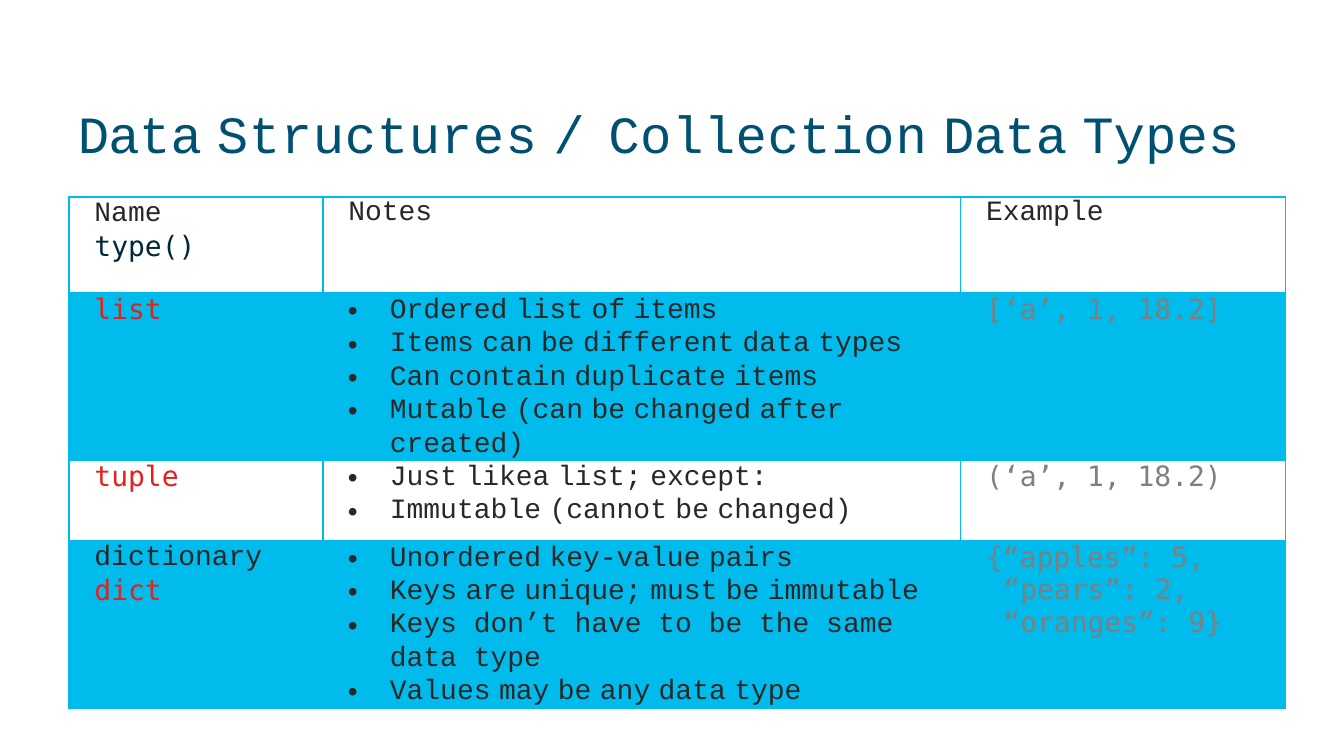
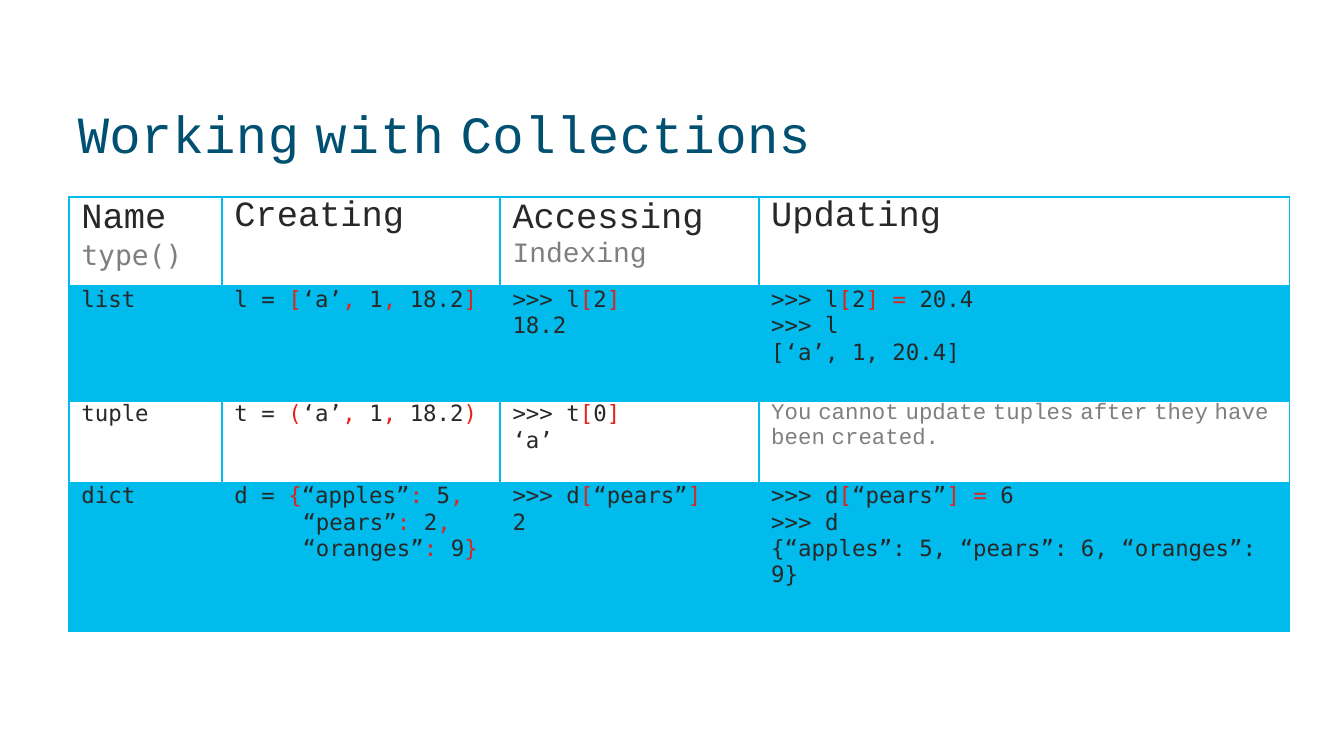
from dataclasses import dataclass, replace

from lxml.etree import SubElement
from pptx import Presentation
from pptx.dml.color import RGBColor
from pptx.oxml.ns import qn
from pptx.util import Pt

SANS_CODE = "DejaVu Sans Mono"
PROSE = "Courier New"
NAVY, INK, DARK_TEAL = "005072", "282828", "002839"
RED, GRAY, CYAN = "E3231B", "7F7F7F", "00BBEB"
LEFT, TABLE_TOP = 36.9, 105.5


@dataclass
class Run:
    text: str
    size: float
    color: str = INK
    font: str = PROSE
    spacing: float = 0
    narrow: bool = True


@dataclass
class Line:
    runs: list
    indent: float
    bullet: bool = False
    exact: float = 0


def rgb(value):
    return RGBColor.from_string(value)


def split_gaps(text):
    """Yield (piece, is_gap); a gap is a word's last letter and its space."""
    words = text.split(" ")
    for word in words[:-1]:
        yield word[:-1], False
        yield word[-1:] + " ", True
    yield words[-1], False


def add_run(paragraph, run):
    """Write a run; prose has tight word gaps, set through letter spacing."""
    tighten = run.narrow and run.font == PROSE
    for text, is_gap in split_gaps(run.text) if tighten else [(run.text, False)]:
        if not text:
            continue
        part = paragraph.add_run()
        part.text = text
        font = part.font
        font.name = run.font
        font.size = Pt(run.size)
        font.bold = False
        font.color.rgb = rgb(run.color)
        spacing = run.spacing - (0.3 * run.size if is_gap else 0)
        if spacing:
            font._element.set("spc", str(round(spacing * 100)))


def add_bullet(properties):
    color = SubElement(properties, qn("a:buClr"))
    SubElement(color, qn("a:srgbClr"), val=INK)
    SubElement(properties, qn("a:buFont"), typeface="Arial")
    SubElement(properties, qn("a:buChar"), char="•")


def write_lines(frame, lines):
    for index, line in enumerate(lines):
        paragraph = frame.add_paragraph() if index else frame.paragraphs[0]
        properties = paragraph._p.get_or_add_pPr()
        properties.set("marL", str(Pt(line.indent)))
        properties.set("indent", str(Pt(-22.5 if line.bullet else 0)))
        if line.exact:
            paragraph.line_spacing = Pt(line.exact)
        if line.bullet:
            add_bullet(properties)
        for run in line.runs:
            add_run(paragraph, run)


def set_margins(target):
    target.margin_left = target.margin_right = 0
    target.margin_top = target.margin_bottom = 0


def add_title(slide, words):
    """Words are pairs of text and letter spacing."""
    box = slide.shapes.add_textbox(Pt(41), Pt(54), Pt(638.6), Pt(30.2))
    frame = box.text_frame
    frame.word_wrap = True
    set_margins(frame)
    runs = [Run(text, 28, NAVY, spacing=spacing) for text, spacing in words]
    write_lines(frame, [Line(runs, 0.7)])


def set_borders(cell, top, bottom):
    properties = cell._tc.get_or_add_tcPr()
    for side, width in (("L", 1), ("R", 1), ("T", top), ("B", bottom)):
        border = SubElement(properties, qn("a:ln" + side), w=str(Pt(width)))
        fill = SubElement(border, qn("a:solidFill"))
        SubElement(fill, qn("a:srgbClr"), val=CYAN)


def add_grid(slide, widths, heights, rows):
    """Add a table whose every second row is cyan."""
    table = slide.shapes.add_table(
        len(heights), len(widths), Pt(LEFT), Pt(TABLE_TOP),
        Pt(sum(widths)), Pt(sum(heights))).table
    table.first_row = table.horz_banding = False
    for column, width in zip(table.columns, widths):
        column.width = Pt(width)
    for index, (height, row) in enumerate(zip(heights, rows)):
        table.rows[index].height = Pt(height)
        for cell, lines in zip(table.rows[index].cells, row):
            set_margins(cell)
            set_borders(cell, 2 if index == 1 else 1, 2 if index == 0 else 1)
            if index % 2:
                cell.fill.solid()
                cell.fill.fore_color.rgb = rgb(CYAN)
            else:
                cell.fill.background()
            write_lines(cell.text_frame, lines)


def label(text, size=15, color=INK, font=PROSE, indent=13.7, exact=0):
    return Line([Run(text, size, color, font)], indent, exact=exact)


def type_name(text, color=RED, exact=0):
    return label(text, color=color, font=SANS_CODE, exact=exact)


def example(text, indent=13.7):
    return label(text, color=GRAY, font=SANS_CODE, indent=indent)


def bullets(*texts):
    return [Line([Run(text, 15)], 36, bullet=True, exact=17.9)
            for text in texts]


def heading(text, exact=0):
    return label(text, 19, indent=6.7, exact=exact)


def code(*parts, indent=6.7):
    """A line of code whose parts are dark and red in turn."""
    return Line([Run(text, 12, (INK, RED)[index % 2], SANS_CODE)
                 for index, text in enumerate(parts)], indent)


def add_types_slide(slide):
    add_title(slide, [("Data ", -0.3), ("Structures ", 0.4), ("/ ", 4.4),
                      ("Collection ", 0.3), ("Data ", -0.3), ("Types", 0.1)])
    dict_notes = bullets("Unordered key-value pairs",
                         "Keys are unique; must be immutable",
                         "Keys don’t have to be the same data type",
                         "Values may be any data type")
    wide = dict_notes[2]
    wide.runs = [replace(run, narrow=False) for run in wide.runs]
    rows = [
        [[label("Name", exact=17.6), type_name("type()", DARK_TEAL, 17.6)],
         [label("Notes")], [label("Example")]],
        [[type_name("list")],
         bullets("Ordered list of items", "Items can be different data types",
                 "Can contain duplicate items",
                 "Mutable (can be changed after created)"),
         [example("[‘a’, 1, 18.2]")]],
        [[type_name("tuple")],
         bullets("Just like a list; except:", "Immutable (cannot be changed)"),
         [example("(‘a’, 1, 18.2)")]],
        [[label("dictionary", exact=17.6), type_name("dict", exact=17.6)],
         dict_notes,
         [example("{“apples”: 5,"), example("“pears”: 2,", 23),
          example("“oranges”: 9}", 23)]],
    ]
    add_grid(slide, [136, 341.7, 174.2], [51.8, 79.2, 43.2, 79.2], rows)


def add_usage_slide(slide):
    add_title(slide, [("Working ", 0.2), ("with ", 0.6), ("Collections", 0.3)])
    rows = [
        [[heading("Name", 22.4),
          label("type()", 15, GRAY, SANS_CODE, 6.7, 17.6)],
         [heading("Creating")],
         [heading("Accessing", 22.8), label("Indexing", 15, GRAY, indent=6.7)],
         [heading("Updating")]],
        [[code("list")],
         [code("l = ", "[", "‘a’", ", ", "1", ", ", "18.2", "]")],
         [code(">>> l", "[", "2", "]"), code("18.2")],
         [code(">>> l", "[", "2", "] = ", "20.4"), code(">>> l"),
          code("[‘a’, 1, 20.4]")]],
        [[code("tuple")],
         [code("t = ", "(", "‘a’", ", ", "1", ", ", "18.2", ")")],
         [code(">>> t", "[", "0", "]"), code("‘a’")],
         [label("You cannot update tuples after they have been created.",
                12, GRAY, indent=6.7)]],
        [[code("dict")],
         [code("d = ", "{", "“apples”", ": ", "5", ","),
          code("“pears”", ": ", "2", ",", indent=43.2),
          code("“oranges”", ": ", "9", "}", indent=43.2)],
         [code(">>> d", "[", "“pears”", "]"), code("2")],
         [code(">>> d", "[", "“pears”", "] = ", "6"), code(">>> d"),
          code("{“apples”: 5, “pears”: 6, “oranges”:"), code("9}")]],
    ]
    add_grid(slide, [82, 149, 138.6, 284.4], [48.2, 61.2, 43.9, 79.2], rows)


def main():
    presentation = Presentation()
    presentation.slide_width = Pt(720)
    presentation.slide_height = Pt(405)
    blank = presentation.slide_layouts[6]
    for fill_slide in (add_types_slide, add_usage_slide):
        fill_slide(presentation.slides.add_slide(blank))
    presentation.save("out.pptx")


if __name__ == "__main__":
    main()
